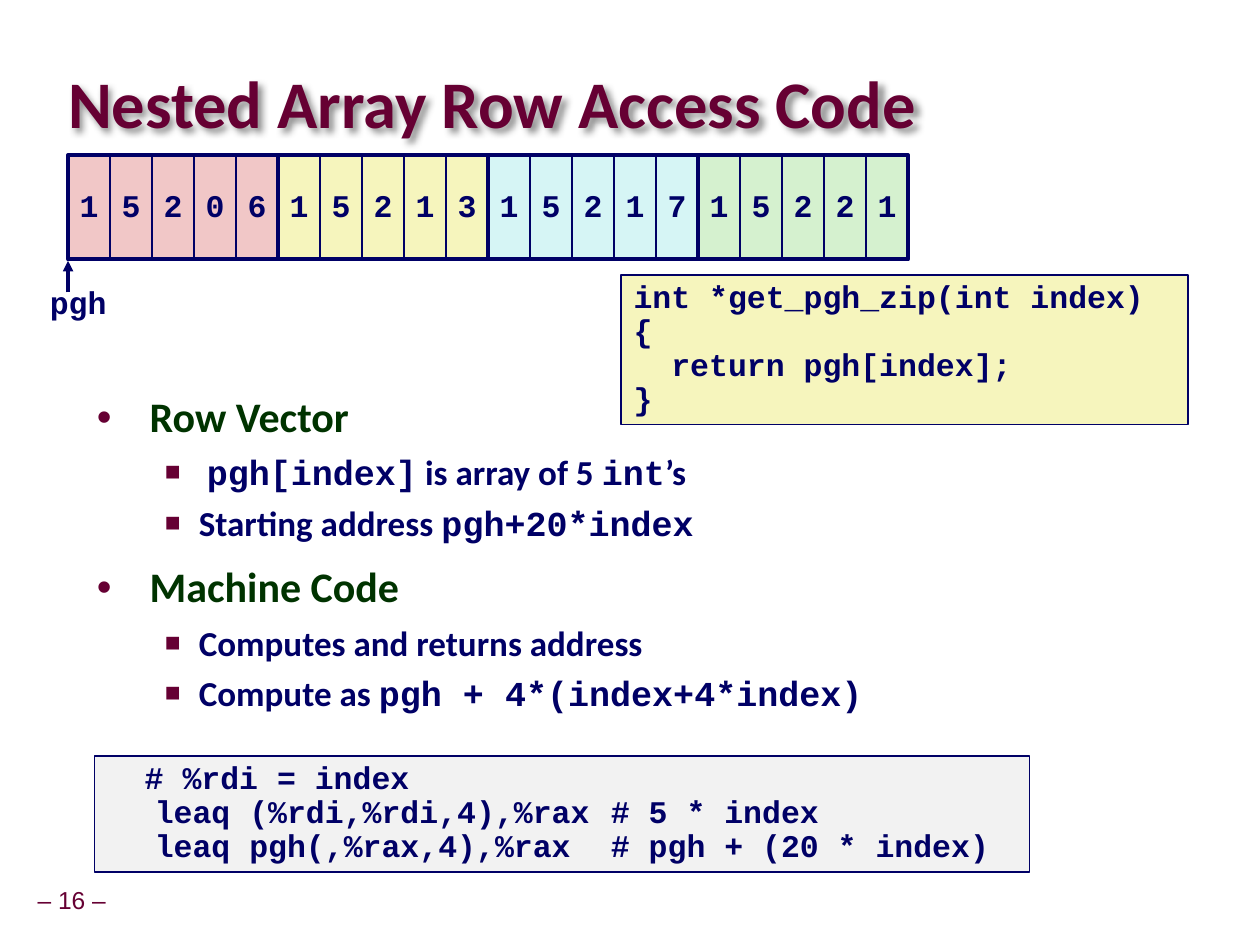
from lxml import etree
from pptx import Presentation
from pptx.dml.color import RGBColor
from pptx.enum import shapes, text
from pptx.oxml.ns import qn
from pptx.util import Inches, Pt

COLORS = {
    "navy": "000066", "maroon": "660033", "green": "003300",
    "pink": "F1C7C7", "yellow": "F6F5BD", "cyan": "D6F5F5",
    "mint": "D5F1CF", "gray": "F2F2F2",
}
SANS, CODE = "Calibri", "Courier New"
LEFT, CENTER = text.PP_ALIGN.LEFT, text.PP_ALIGN.CENTER
TOP, MIDDLE = text.MSO_ANCHOR.TOP, text.MSO_ANCHOR.MIDDLE


def rgb(name):
    return RGBColor.from_string(COLORS[name])


def add_xml(parent, tag, **attributes):
    return etree.SubElement(parent, qn(tag), attributes)


class SlideStyle:
    def __init__(self, page):
        self.page = page

    def font(self, para, size, color="navy", name=CODE, bold=True):
        font = para.font
        font.size, font.name, font.bold = Pt(size), name, bold
        font.color.rgb = rgb(color)

    def frame(self, box, anchor=TOP, wrap=True, margins=(0.1, 0.05)):
        frame = box.text_frame
        frame.word_wrap, frame.vertical_anchor = wrap, anchor
        frame.margin_left = frame.margin_right = Inches(margins[0])
        frame.margin_top = frame.margin_bottom = Inches(margins[1])
        return frame

    def lines(self, frame, lines, align=LEFT, tabs=(), **style):
        for i, line in enumerate(lines):
            para = frame.add_paragraph() if i else frame.paragraphs[0]
            para.text = line
            para.alignment, para.line_spacing = align, 0.9
            if tabs:
                stops = add_xml(para._p.get_or_add_pPr(), "a:tabLst")
                for tab in tabs:
                    add_xml(stops, "a:tab", pos=str(Inches(tab)), algn="l")
            self.font(para, **style)

    def title(self, words, left, top, width, height):
        box = self.page.shapes.title
        box.left, box.top = Inches(left), Inches(top)
        box.width, box.height = Inches(width), Inches(height)
        frame = self.frame(box, MIDDLE, margins=(0, 0))
        frame.auto_size = text.MSO_AUTO_SIZE.NONE
        self.lines(frame, [words], size=38, color="maroon", name=SANS)
        frame.paragraphs[0].line_spacing = 0.87
        # Soft shadow behind the letters
        effects = add_xml(box._element.spPr, "a:effectLst")
        shadow = add_xml(effects, "a:outerShdw", blurRad="50800", dist="38100",
                         dir="2700000", algn="tl", rotWithShape="0")
        color = add_xml(shadow, "a:srgbClr", val="000000")
        add_xml(color, "a:alpha", val="43000")

    def rect(self, left, top, width, height, fill=None, line=1):
        box = self.page.shapes.add_shape(
            shapes.MSO_SHAPE.RECTANGLE,
            Inches(left), Inches(top), Inches(width), Inches(height))
        box.shadow.inherit = False
        if fill:
            box.fill.solid()
            box.fill.fore_color.rgb = rgb(fill)
        else:
            box.fill.background()
        box.line.color.rgb = rgb("navy")
        box.line.width = Pt(line)
        return box

    def code(self, lines, left, top, width, height, fill, tabs=()):
        box = self.rect(left, top, width, height, fill)
        self.lines(self.frame(box), lines, tabs=tabs, size=18)

    def cell(self, digit, left, top, width, height, fill):
        box = self.rect(left, top, width, height, fill)
        self.lines(self.frame(box, MIDDLE, wrap=False), [digit], CENTER, size=18)

    def textbox(self, left, top, width, height):
        return self.page.shapes.add_textbox(
            Inches(left), Inches(top), Inches(width), Inches(height))

    def label(self, words, left, top, width, height, anchor=TOP, **style):
        box = self.textbox(left, top, width, height)
        frame = self.frame(box, anchor, wrap=False, margins=(0.05, 0.05))
        frame.auto_size = text.MSO_AUTO_SIZE.SHAPE_TO_FIT_TEXT
        self.lines(frame, [words], CENTER, **style)

    def bullets(self, items, left, top, width, height):
        """Each item is (level, words); words between backticks are code."""
        frame = self.frame(self.textbox(left, top, width, height))
        for i, (level, words) in enumerate(items):
            para = frame.add_paragraph() if i else frame.paragraphs[0]
            para.level = level
            for j, part in enumerate(words.split("`")):
                if part:
                    span = para.add_run()
                    span.text = part
                    if j % 2:
                        span.font.name = CODE
            para.line_spacing = 1.0 if level else 0.95
            if i:
                para.space_before = Pt(5 if level else 12)
            margin, hang = (0.81, 0.27) if level else (0.42, 0.42)
            props = para._p.get_or_add_pPr()
            props.set("marL", str(Inches(margin)))
            props.set("indent", str(-Inches(hang)))
            add_xml(add_xml(props, "a:buClr"), "a:srgbClr", val=COLORS["maroon"])
            add_xml(props, "a:buSzPct", val="75000" if level else "100000")
            add_xml(props, "a:buFont", typeface="Arial")
            add_xml(props, "a:buChar", char="■" if level else "•")
            self.font(para, 20 if level else 24, "navy" if level else "green", SANS)

    def arrow(self, x1, y1, x2, y2):
        line = self.page.shapes.add_connector(
            shapes.MSO_CONNECTOR.STRAIGHT,
            Inches(x1), Inches(y1), Inches(x2), Inches(y2))
        line.line.color.rgb = rgb("navy")
        line.line.width = Pt(2)
        add_xml(line.line._get_or_add_ln(), "a:tailEnd", type="triangle")
        add_xml(line._element.spPr, "a:effectLst")


def main():
    deck = Presentation()
    deck.slide_width, deck.slide_height = Inches(10), Inches(7.5)
    style = SlideStyle(deck.slides.add_slide(deck.slide_layouts[5]))

    # Title and page number
    style.title("Nested Array Row Access Code", 0.54, 0.54, 8.36, 0.63)
    style.label("– 16 –", 0.24, 7, 0.66, 0.31, MIDDLE,
                size=14, color="maroon", name="Arial", bold=False)

    # Explanation
    style.bullets([
        (0, "Row Vector"),
        (1, " `pgh[index]` is array of 5 `int`’s"),
        (1, "Starting address `pgh+20*index`"),
        (0, "Machine Code"),
        (1, "Computes and returns address"),
        (1, "Compute as `pgh + 4*(index+4*index)`"),
    ], 0.67, 3.08, 8.1, 2.67)

    # C source and assembly
    style.code(["int *get_pgh_zip(int index)", "{", "  return pgh[index];", "}"],
               4.93, 2.18, 4.5, 1.19, "yellow")
    style.code(["  # %rdi = index",
                "\tleaq (%rdi,%rdi,4),%rax\t# 5 * index",
                "\tleaq pgh(,%rax,4),%rax\t# pgh + (20 * index)"],
               0.75, 6, 7.42, 0.92, "gray", tabs=(0.38, 2.88))

    # Pointer to the start of the array
    array_left, array_top, cell_width, cell_height = 0.54, 1.23, 1 / 3, 0.83
    style.arrow(array_left, 2.32, array_left, 2.07)
    style.label("pgh", 0.29, 2.23, 0.66, 0.4, size=18)

    # Array cells, then a heavy outline around each row
    rows = [("15206", "pink"), ("15213", "yellow"), ("15217", "cyan"), ("15221", "mint")]
    row_width = 5 * cell_width
    for i, (digits, fill) in enumerate(rows):
        for j, digit in enumerate(digits):
            left = array_left + i * row_width + j * cell_width
            style.cell(digit, left, array_top, cell_width, cell_height, fill)
    for i in range(len(rows)):
        style.rect(array_left + i * row_width, array_top, row_width, cell_height, line=2.25)

    deck.save("out.pptx")


if __name__ == "__main__":
    main()
